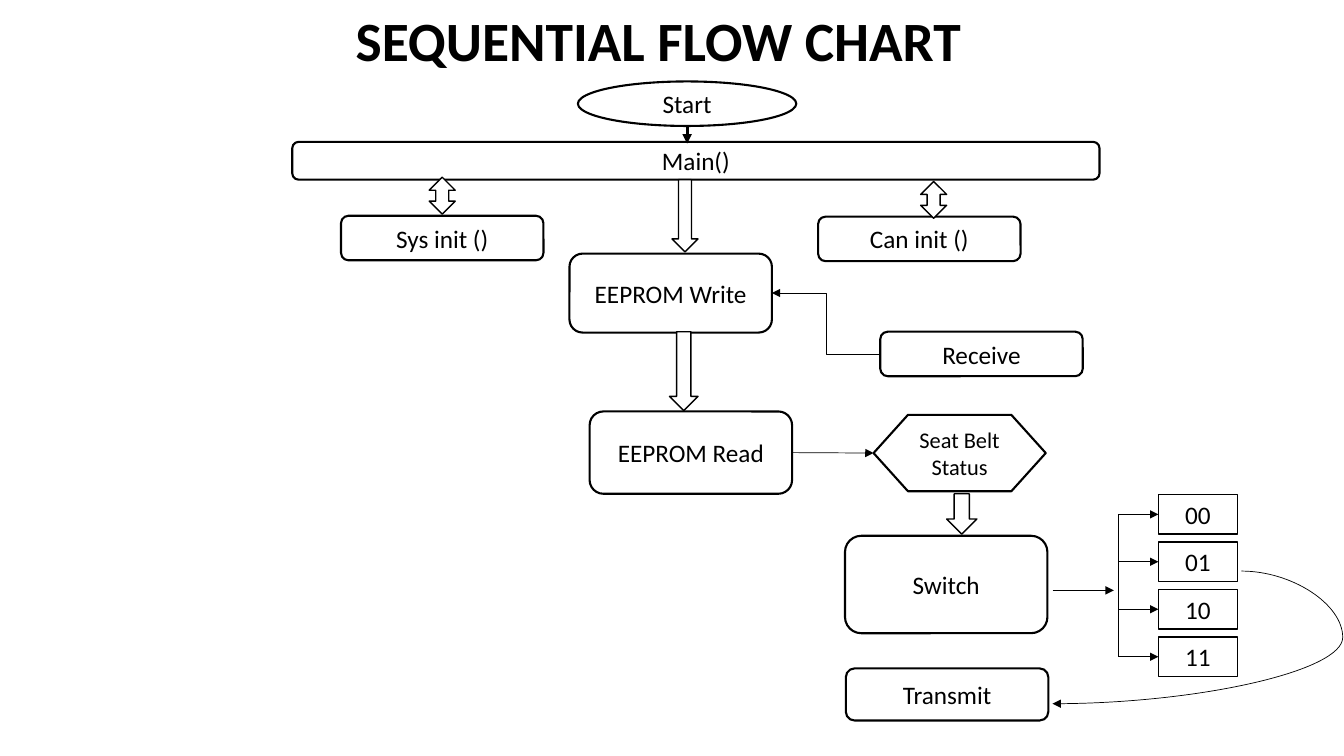
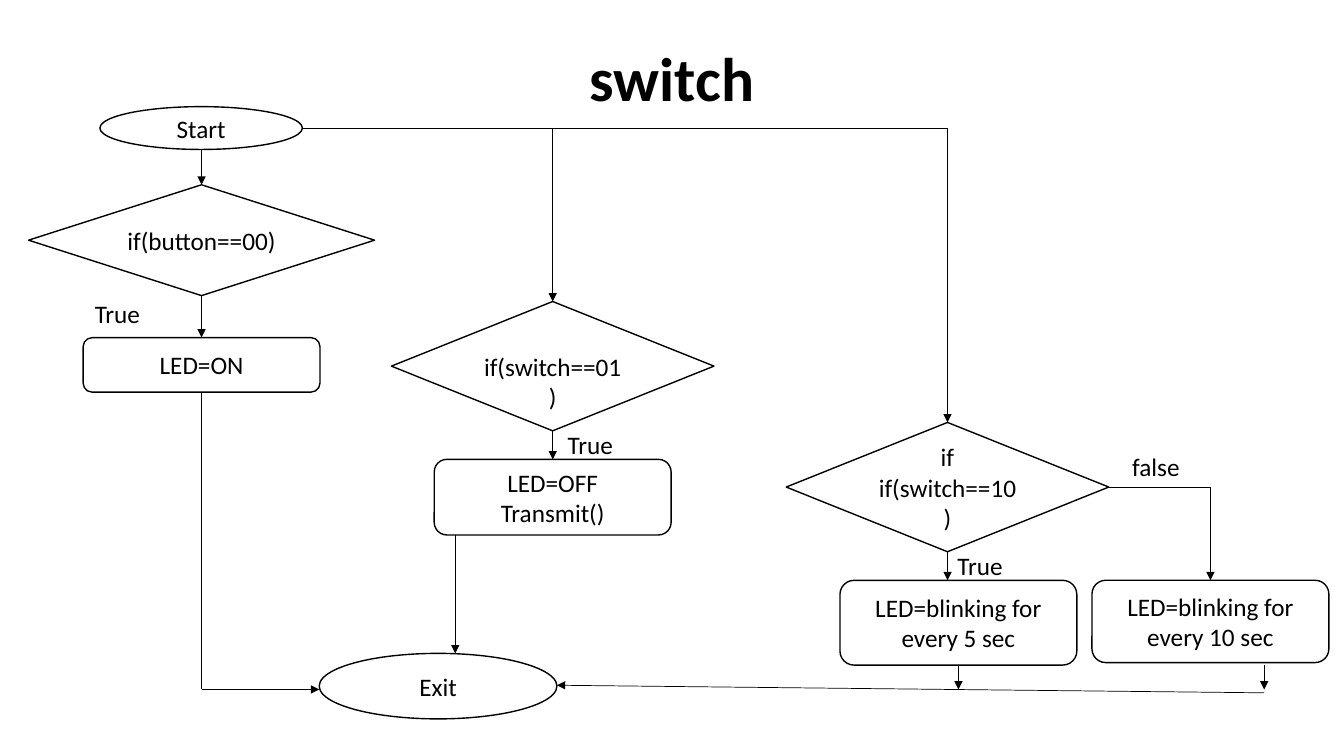
from dataclasses import dataclass

from lxml import etree
from pptx import Presentation
from pptx import util as u
from pptx.dml.color import RGBColor
from pptx.enum import shapes, text
from pptx.oxml.ns import qn


@dataclass(frozen=True)
class Theme:
    ink = RGBColor(0, 0, 0)
    paper = RGBColor(255, 255, 255)
    font = "Calibri"
    body = 18
    small = 16
    heavy = 2.25
    bold = 1.5
    medium = 1
    thin = 0.5


SHAPE = shapes.MSO_SHAPE
LINE = shapes.MSO_CONNECTOR
ALIGN = text.PP_ALIGN
ANCHOR = text.MSO_ANCHOR
TOP, LEFT, BOTTOM, RIGHT = range(4)
COLUMNS = 160

deck = Presentation()
deck.slide_width, deck.slide_height = u.Inches(13.33), u.Inches(7.5)
CELL = u.Inches(13.33) / COLUMNS


def node(page, kind, box, words="", size=Theme.body, outline=Theme.medium,
         align=ALIGN.CENTER, anchor=ANCHOR.MIDDLE, bold=False):
    place = [round(cells * CELL) for cells in box]
    if kind is None:
        item = page.shapes.add_textbox(*place)
    else:
        item = page.shapes.add_shape(kind, *place)
        item.shadow.inherit = False
        item.fill.solid()
        item.fill.fore_color.rgb = Theme.paper
        item.line.color.rgb = Theme.ink
        item.line.width = u.Pt(outline)
    frame = item.text_frame
    frame.word_wrap = True
    frame.vertical_anchor = anchor
    frame.text = words
    for paragraph in frame.paragraphs:
        paragraph.alignment = align
        for run in paragraph.runs:
            run.font.name = Theme.font
            run.font.size = u.Pt(size)
            run.font.bold = bold
            run.font.color.rgb = Theme.ink
    return item


def link(page, start, end, kind=LINE.STRAIGHT, arrow=True, width=Theme.thin):
    joined = [not isinstance(place[0], (int, float)) for place in (start, end)]
    points = [0 if glued else round(cells * CELL)
              for glued, place in zip(joined, (start, end)) for cells in place]
    line = page.shapes.add_connector(kind, *points)
    if joined[0]:
        line.begin_connect(*start)
    if joined[1]:
        line.end_connect(*end)
    line.line.color.rgb = Theme.ink
    line.line.width = u.Pt(width)
    if arrow:
        etree.SubElement(line.line._get_or_add_ln(), qn("a:tailEnd"), type="triangle")
    etree.SubElement(line._element.spPr, qn("a:effectLst"))
    return line


pages = []
for heading, box, size in [
    ("SEQUENTIAL FLOW CHART", (10.2, 2.5, 136.4, 5.4), 39.6),
    ("switch", (11, 4.8, 138, 9.8), 44),
]:
    page = deck.slides.add_slide(deck.slide_layouts[6])
    title = node(page, None, box, heading, size, bold=True)
    title.text_frame.paragraphs[0].line_spacing = 0.9
    pages.append(page)
sequence, switch = pages

STEP = 24.1
node(sequence, SHAPE.OVAL, (68.8, 9.7, 26, 5.3), "Start", outline=Theme.bold)
steps = {}
for words, left, top, width, height in [
    ("Main()", 34.8, 16.9, 96.1, 4.5),
    ("Sys init ()", 40.6, 25.7, STEP, 5.3),
    ("Can init ()", 97.4, 25.8, STEP, 5.3),
    ("EEPROM Write", 67.8, 30.2, STEP, 9.4),
    ("EEPROM Read", 70.2, 49, STEP, 9.8),
    ("Switch", 100.6, 63.8, STEP, 11.6),
    ("Receive", 104.8, 39.5, STEP, 5.3),
    ("Transmit", 100.7, 79.6, STEP, 6.2),
]:
    steps[words] = node(sequence, SHAPE.ROUNDED_RECTANGLE, (left, top, width, height),
                        words, outline=Theme.bold)
belt_status = node(sequence, SHAPE.FLOWCHART_PREPARATION, (104, 49.4, 20.5, 9.1),
                   "Seat Belt Status", Theme.small, Theme.bold)

for kind, *box in [
    (SHAPE.UP_DOWN_ARROW, 109.6, 21.6, 3.1, 4.4),
    (SHAPE.UP_DOWN_ARROW, 51.1, 21.1, 3.1, 4.4),
    (SHAPE.DOWN_ARROW, 80, 21.4, 3.1, 8.6),
    (SHAPE.DOWN_ARROW, 112.7, 58.8, 3.6, 4.8),
    (SHAPE.DOWN_ARROW, 79.7, 39.5, 3.4, 9.4),
]:
    node(sequence, kind, box)

link(sequence, (81.8, 15.1), (81.8, 17.1), width=Theme.heavy)
link(sequence, (steps["Receive"], LEFT), (steps["EEPROM Write"], RIGHT), LINE.ELBOW)
link(sequence, (steps["EEPROM Read"], RIGHT), (belt_status, LEFT))
link(sequence, (125.3, 70.3), (132.6, 70.3))

BUS, FIRST, PITCH, CODE_HEIGHT = 133.1, 58.9, 5.65, 4.7
codes = ["00", "01", "10", "11"]
for row, code in enumerate(codes):
    top = FIRST + row * PITCH
    code_box = node(sequence, SHAPE.RECTANGLE, (137.9, top, 9.4, CODE_HEIGHT), code)
    link(sequence, (BUS, top + CODE_HEIGHT / 2), (code_box, LEFT))
bus_top = FIRST + CODE_HEIGHT / 2
link(sequence, (BUS, bus_top), (BUS, bus_top + (len(codes) - 1) * PITCH), arrow=False)

to_transmit = link(sequence, (147.8, 68), (125.3, 83.8), LINE.CURVE)
bend = to_transmit._element.spPr.find(".//" + qn("a:avLst"))
etree.SubElement(bend, qn("a:gd"), name="adj1", fmla="val -53600")

RESULT = 28.2
FIRST_AXIS, SECOND_AXIS, THIRD_AXIS = 24, 65.8, 112.8
RAIL, RETURN = 15.3, 82.1
node(switch, SHAPE.OVAL, (11.9, 12.7, STEP, 5.1), "Start")
node(switch, SHAPE.OVAL, (38, 77.8, 28.3, 7.8), "Exit")
is_00, is_01, is_10 = [
    node(switch, SHAPE.FLOWCHART_DECISION, (axis - width / 2, top, width, height), words)
    for words, axis, top, width, height in [
        ("if(button==00)", FIRST_AXIS, 22, 41.2, 13.2),
        (" if(switch==01)", SECOND_AXIS, 35.9, 38.4, 15.4),
        ("if if(switch==10)", THIRD_AXIS, 50.3, 38.4, 15.4),
    ]
]
led_on, led_off, blink_5, blink_10 = [
    node(switch, SHAPE.ROUNDED_RECTANGLE, (left, top, RESULT, height), words)
    for words, left, top, height in [
        ("LED=ON", FIRST_AXIS - RESULT / 2, 40.2, 6.5),
        ("LED=OFF\nTransmit()", SECOND_AXIS - RESULT / 2, 54.7, 9),
        ("LED=blinking for every 5 sec", 100, 69.1, 10.1),
        ("LED=blinking for every 10 sec", 130, 69.1, 9.8),
    ]
]
for answer, left, top in [
    ("True", 10.1, 34.9),
    ("True", 66.4, 50.5),
    ("True", 112.8, 65),
    ("false", 133.6, 53.2),
]:
    node(switch, None, (left, top, 12, 4.8), answer, align=ALIGN.LEFT, anchor=ANCHOR.TOP)

for start, end in [
    ((FIRST_AXIS, 17.8), (is_00, TOP)),
    ((is_00, BOTTOM), (led_on, TOP)),
    ((SECOND_AXIS, RAIL), (is_01, TOP)),
    ((is_01, BOTTOM), (led_off, TOP)),
    ((THIRD_AXIS, RAIL), (is_10, TOP)),
    ((is_10, BOTTOM), (THIRD_AXIS, 69.1)),
    ((144.1, 58), (blink_10, TOP)),
    ((FIRST_AXIS, RETURN), (38, RETURN)),
    ((54.2, 63.7), (54.2, 77.8)),
    ((150.5, 82.5), (66.3, 81.6)),
    ((blink_5, BOTTOM), (114.1, RETURN)),
    ((150.5, 79.2), (150.5, RETURN)),
]:
    link(switch, start, end)
for start, end in [
    ((36, RAIL), (THIRD_AXIS, RAIL)),
    ((is_10, RIGHT), (144.1, 58)),
    ((led_on, BOTTOM), (FIRST_AXIS, RETURN)),
]:
    link(switch, start, end, arrow=False)

deck.save("out.pptx")
